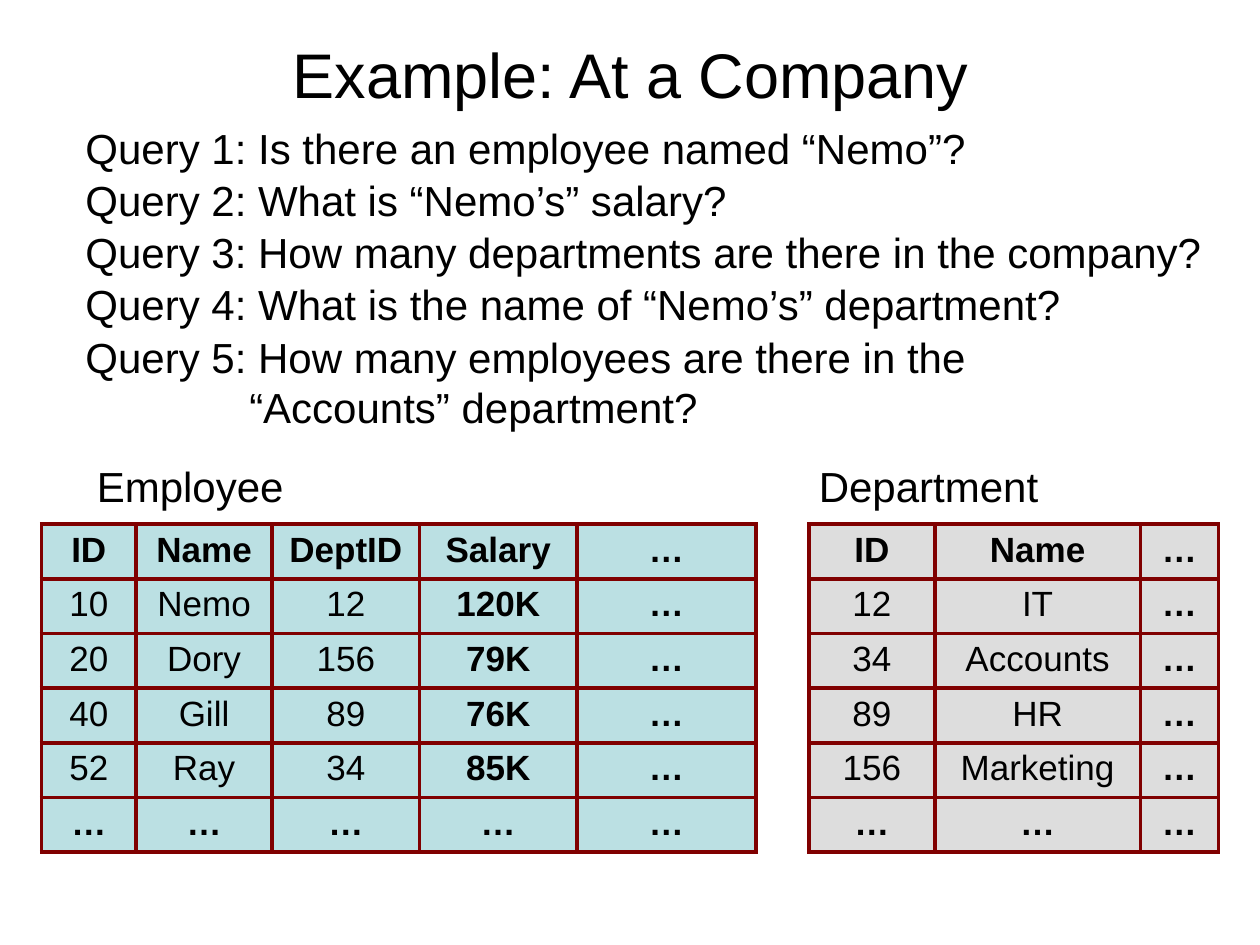
import pptx
import pptx.util
import pptx.dml.color
import pptx.enum.text
import pptx.oxml
import pptx.oxml.ns
from pptx.util import Inches

TITLE = "Example: At a Company"
QUERIES = [
    (["Query 1: Is there an employee named “Nemo”?"], 7.19, 0.5),
    (["Query 2: What is “Nemo’s” salary?"], 5.3, 0.5),
    (["Query 3: How many departments are there in the company?"], 9.06, 0.5),
    (["Query 4: What is the name of “Nemo’s” department?"], 7.95, 0.5),
    (["Query 5: How many employees are there in the",
      "“Accounts” department?"], 7.28, 0.9),
]
TABLES = [
    {
        "name": "Employee", "label": (0.67, 1.69), "left": 0.33, "fill": "BBE0E3",
        "widths": [0.75, 1.08, 1.17, 1.25, 1.42],
        "rows": [
            ["ID", "Name", "DeptID", "Salary", "…"],
            ["10", "Nemo", "12", "120K", "…"],
            ["20", "Dory", "156", "79K", "…"],
            ["40", "Gill", "89", "76K", "…"],
            ["52", "Ray", "34", "85K", "…"],
            ["…"] * 5,
        ],
    },
    {
        "name": "Department", "label": (6.4, 1.94), "left": 6.42, "fill": "DDDDDD",
        "widths": [1, 1.63, 0.62],
        "rows": [
            ["ID", "Name", "…"],
            ["12", "IT", "…"],
            ["34", "Accounts", "…"],
            ["89", "HR", "…"],
            ["156", "Marketing", "…"],
            ["…"] * 3,
        ],
    },
]
QUERY_LEFT, QUERY_TOP, QUERY_STEP, QUERY_INDENT = 0.58, 0.92, 0.415, 1.3
LABEL_TOP, TABLE_TOP, TABLE_HEIGHT = 3.65, 4.16, 2.6
BORDER = "800000"
CENTER = pptx.enum.text.PP_ALIGN.CENTER
LEFT = pptx.enum.text.PP_ALIGN.LEFT


def color(value):
    return pptx.dml.color.RGBColor.from_string(value)


def apply(target, values):
    for name, value in values.items():
        setattr(target, name, value)


def write(paragraph, text, size, bold=False, **layout):
    paragraph.text = text
    apply(paragraph, layout)
    font = paragraph.runs[0].font
    apply(font, {"name": "Arial", "size": pptx.util.Pt(size), "bold": bold})
    font.color.rgb = color("000000")


def add_text(slide, box, lines, size, frame_format, **layout):
    frame = slide.shapes.add_textbox(*map(Inches, box)).text_frame
    apply(frame, frame_format)
    for index, line in enumerate(lines):
        paragraph = frame.add_paragraph() if index else frame.paragraphs[0]
        write(paragraph, line, size, **layout)
        if index:
            properties = paragraph._p.get_or_add_pPr()
            properties.set("marL", str(Inches(QUERY_INDENT)))
            properties.set("indent", "0")


def add_borders(cell):
    properties = cell._tc.get_or_add_tcPr()
    for position, side in enumerate(("lnL", "lnR", "lnT", "lnB")):
        line = pptx.oxml.parse_xml(
            f'<a:{side} {pptx.oxml.ns.nsdecls("a")} w="{pptx.util.Pt(2.25)}">'
            f'<a:solidFill><a:srgbClr val="{BORDER}"/></a:solidFill></a:{side}>')
        properties.insert(position, line)


def add_data_table(slide, data):
    rows, widths = data["rows"], data["widths"]
    table = slide.shapes.add_table(
        len(rows), len(widths), Inches(data["left"]), Inches(TABLE_TOP),
        Inches(sum(widths)), Inches(TABLE_HEIGHT)).table
    apply(table, {"first_row": False, "horz_banding": False})
    for column, width in zip(table.columns, widths):
        column.width = Inches(width)
    for row_index, row in enumerate(rows):
        for column_index, text in enumerate(row):
            cell = table.cell(row_index, column_index)
            bold = row_index == 0 or text == "…" or rows[0][column_index] == "Salary"
            write(cell.text_frame.paragraphs[0], text, 20, bold, alignment=CENTER)
            cell.fill.solid()
            cell.fill.fore_color.rgb = color(data["fill"])
            add_borders(cell)


def main():
    presentation = pptx.Presentation()
    apply(presentation, {"slide_width": Inches(10), "slide_height": Inches(7.5)})
    slide = presentation.slides.add_slide(presentation.slide_layouts[6])

    title_format = {"word_wrap": True,
                    "vertical_anchor": pptx.enum.text.MSO_ANCHOR.MIDDLE}
    fitted = {"word_wrap": False,
              "auto_size": pptx.enum.text.MSO_AUTO_SIZE.SHAPE_TO_FIT_TEXT}
    add_text(slide, (0.42, 0, 9.17, 1.17), [TITLE], 36, title_format, alignment=CENTER)
    for data in TABLES:
        add_data_table(slide, data)
        left, width = data["label"]
        add_text(slide, (left, LABEL_TOP, width, 0.46), [data["name"]], 24, fitted,
                 alignment=LEFT, line_spacing=0.9)
    for index, (lines, width, height) in enumerate(QUERIES):
        top = QUERY_TOP + index * QUERY_STEP
        add_text(slide, (QUERY_LEFT, top, width, height), lines, 24, fitted,
                 alignment=LEFT)
    presentation.save("out.pptx")


if __name__ == "__main__":
    main()
